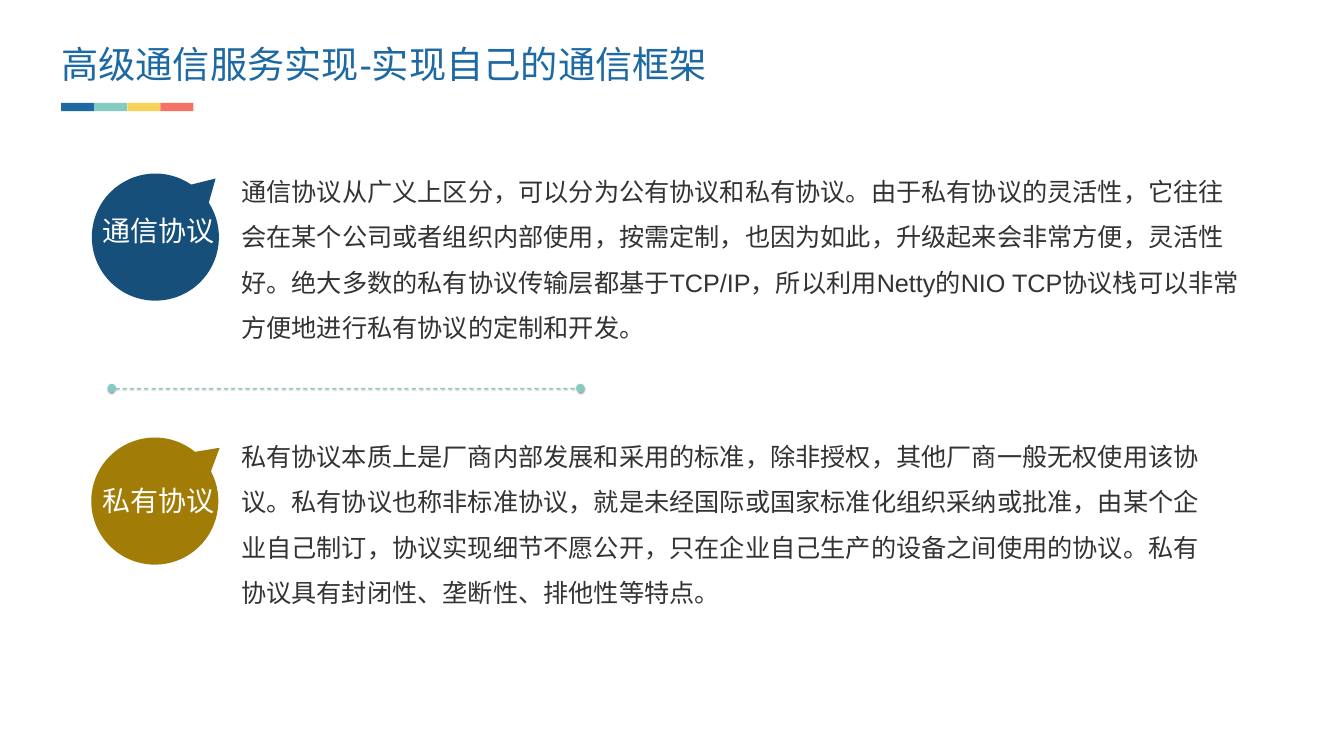
from math import cos, radians, sin, tan

from lxml.etree import SubElement
from pptx import Presentation
from pptx.dml.color import RGBColor
from pptx.enum.dml import MSO_LINE
from pptx.enum.shapes import MSO_CONNECTOR as Connector, MSO_SHAPE as Shape
from pptx.enum.text import MSO_ANCHOR as Anchor, MSO_AUTO_SIZE as AutoSize, PP_ALIGN as Align
from pptx.oxml.ns import qn
from pptx.util import Pt

BLUE = RGBColor(0x1D, 0x69, 0xA3)
TEAL = RGBColor(0x84, 0xCB, 0xC3)
YELLOW = RGBColor(0xF8, 0xD1, 0x58)
CORAL = RGBColor(0xF5, 0x73, 0x65)
NAVY = RGBColor(0x16, 0x4F, 0x7A)
OCHRE = RGBColor(0xA1, 0x7C, 0x07)
DARK = RGBColor(0x33, 0x33, 0x33)
WHITE = RGBColor(0xFF, 0xFF, 0xFF)

LATIN_FONT = "Arial"
CHINESE_FONT = "Noto Sans CJK SC"

PUBLIC_TEXT = (
    "通信协议从广义上区分，可以分为公有协议和私有协议。由于私有协议的灵活性，"
    "它往往会在某个公司或者组织内部使用，按需定制，也因为如此，升级起来会非常方便，灵活性好。"
    "绝大多数的私有协议传输层都基于TCP/IP，所以利用Netty的NIO TCP协议栈"
    "可以非常方便地进行私有协议的定制和开发。"
)
PRIVATE_TEXT = (
    "私有协议本质上是厂商内部发展和采用的标准，除非授权，其他厂商一般无权使用该协议。"
    "私有协议也称非标准协议，就是未经国际或国家标准化组织采纳或批准，"
    "由某个企业自己制订，协议实现细节不愿公开，只在企业自己生产的设备之间使用的协议。"
    "私有协议具有封闭性、垄断性、排他性等特点。"
)


def add_run(paragraph, text, size, color):
    run = paragraph.add_run()
    run.text = text
    run.font.size = Pt(size)
    run.font.name = LATIN_FONT
    run.font.color.rgb = color
    latin = run.font._element.find(qn("a:latin"))
    east_asian = latin.makeelement(qn("a:ea"), {"typeface": CHINESE_FONT})
    latin.addnext(east_asian)


def paint(shape, color):
    shape.fill.solid()
    shape.fill.fore_color.rgb = color
    shape.line.fill.background()
    shape.shadow.inherit = False


def add_header(slide, left, top, width, height):
    title = slide.shapes.title
    title.left, title.top, title.width, title.height = Pt(left), Pt(top), Pt(width), Pt(height)
    frame = title.text_frame
    frame.margin_left = frame.margin_right = frame.margin_top = frame.margin_bottom = 0
    frame.auto_size = AutoSize.NONE
    frame.vertical_anchor = Anchor.TOP
    frame.word_wrap = True
    frame.paragraphs[0].alignment = Align.LEFT
    add_run(frame.paragraphs[0], "高级通信服务实现-实现自己的通信框架", 26.6, BLUE)

    stripe = slide.shapes.add_group_shape()
    step = 23.6
    for index, color in enumerate((BLUE, TEAL, YELLOW, CORAL)):
        block = stripe.shapes.add_shape(
            Shape.RECTANGLE, Pt(left + index * step), Pt(top + 44), Pt(step), Pt(6))
        paint(block, color)


def add_bubble(slide, left, top, rotation, label, label_y, color):
    radius, tip_distance, half_gap = 45.4, 60, 11.4
    center_x, center_y = left + radius, top + tip_distance

    def point(angle, tangent=0):
        turn = radians(angle)
        return (Pt(center_x + radius * (cos(turn) - tangent * sin(turn))),
                Pt(center_y + radius * (sin(turn) + tangent * cos(turn))))

    stops = (half_gap - 90, 0, 90, 180, 270 - half_gap)
    outline = [point(stops[0])]
    for start, end in zip(stops, stops[1:]):
        handle = 4 / 3 * tan(radians(end - start) / 4)
        outline += [point(start, handle), point(end, -handle), point(end)]

    group = slide.shapes.add_group_shape()
    builder = group.shapes.build_freeform(Pt(center_x), Pt(top))
    builder.add_line_segments(outline, close=True)
    bubble = builder.convert_to_shape()
    lines = list(bubble._element.iter(qn("a:lnTo")))[1:len(outline)]
    for index in range(0, len(lines), 3):
        curve = lines[index].makeelement(qn("a:cubicBezTo"), {})
        lines[index].addprevious(curve)
        for line in lines[index:index + 3]:
            curve.append(line[0])
            line.getparent().remove(line)
    bubble.rotation = rotation
    paint(bubble, color)

    caption = group.shapes.add_shape(
        Shape.RECTANGLE, Pt(left + 15), Pt(label_y - 16), Pt(54.6), Pt(32))
    paint(caption, color)
    frame = caption.text_frame
    frame.word_wrap = False
    frame.vertical_anchor = Anchor.MIDDLE
    frame.paragraphs[0].alignment = Align.CENTER
    add_run(frame.paragraphs[0], label, 20, WHITE)


def add_description(slide, left, top, width, height, text):
    frame = slide.shapes.add_textbox(Pt(left), Pt(top), Pt(width), Pt(height)).text_frame
    frame.word_wrap = True
    frame.paragraphs[0].line_spacing = 1.5
    add_run(frame.paragraphs[0], text, 18, DARK)


def add_divider(slide, left, top, width):
    divider = slide.shapes.add_connector(
        Connector.STRAIGHT, Pt(left), Pt(top), Pt(left + width), Pt(top))
    divider.line.color.rgb = TEAL
    divider.line.width = Pt(0.75)
    divider.line.dash_style = MSO_LINE.DASH
    properties = divider._element.spPr
    outline = properties.find(qn("a:ln"))
    for end in ("a:headEnd", "a:tailEnd"):
        SubElement(outline, qn(end), type="oval")
    effects = SubElement(properties, qn("a:effectLst"))
    shadow = SubElement(effects, qn("a:outerShdw"), blurRad=str(Pt(1)), dist=str(Pt(0.5)),
                        dir="5400000", rotWithShape="0")
    shade = SubElement(shadow, qn("a:srgbClr"), val="000000")
    SubElement(shade, qn("a:alpha"), val="38000")


def main():
    presentation = Presentation()
    presentation.slide_width, presentation.slide_height = Pt(960), Pt(540)
    slide = presentation.slides.add_slide(presentation.slide_layouts[5])
    add_header(slide, 43.7, 29.5, 497.5, 32.4)
    add_description(slide, 165.2, 111.6, 733, 138.2, PUBLIC_TEXT)
    add_divider(slide, 79.9, 277.2, 334.6)
    add_description(slide, 165.2, 300.8, 710.6, 138.2, PRIVATE_TEXT)
    add_bubble(slide, 70.8, 111.6, 45.8, "通信协议", 164.2, NAVY)
    add_bubble(slide, 70.8, 300.6, 50.6, "私有协议", 357.5, OCHRE)
    presentation.save("out.pptx")


if __name__ == "__main__":
    main()
